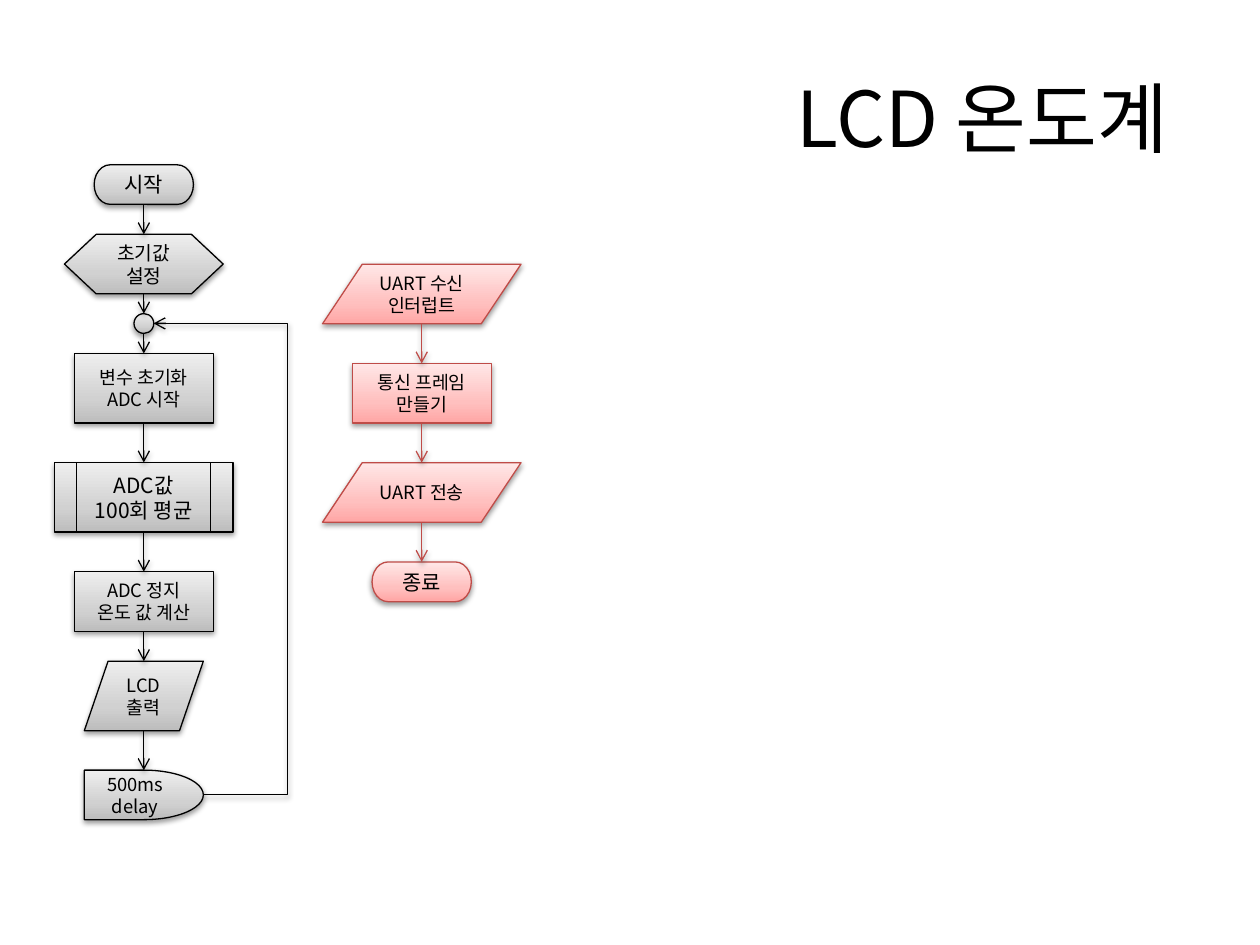
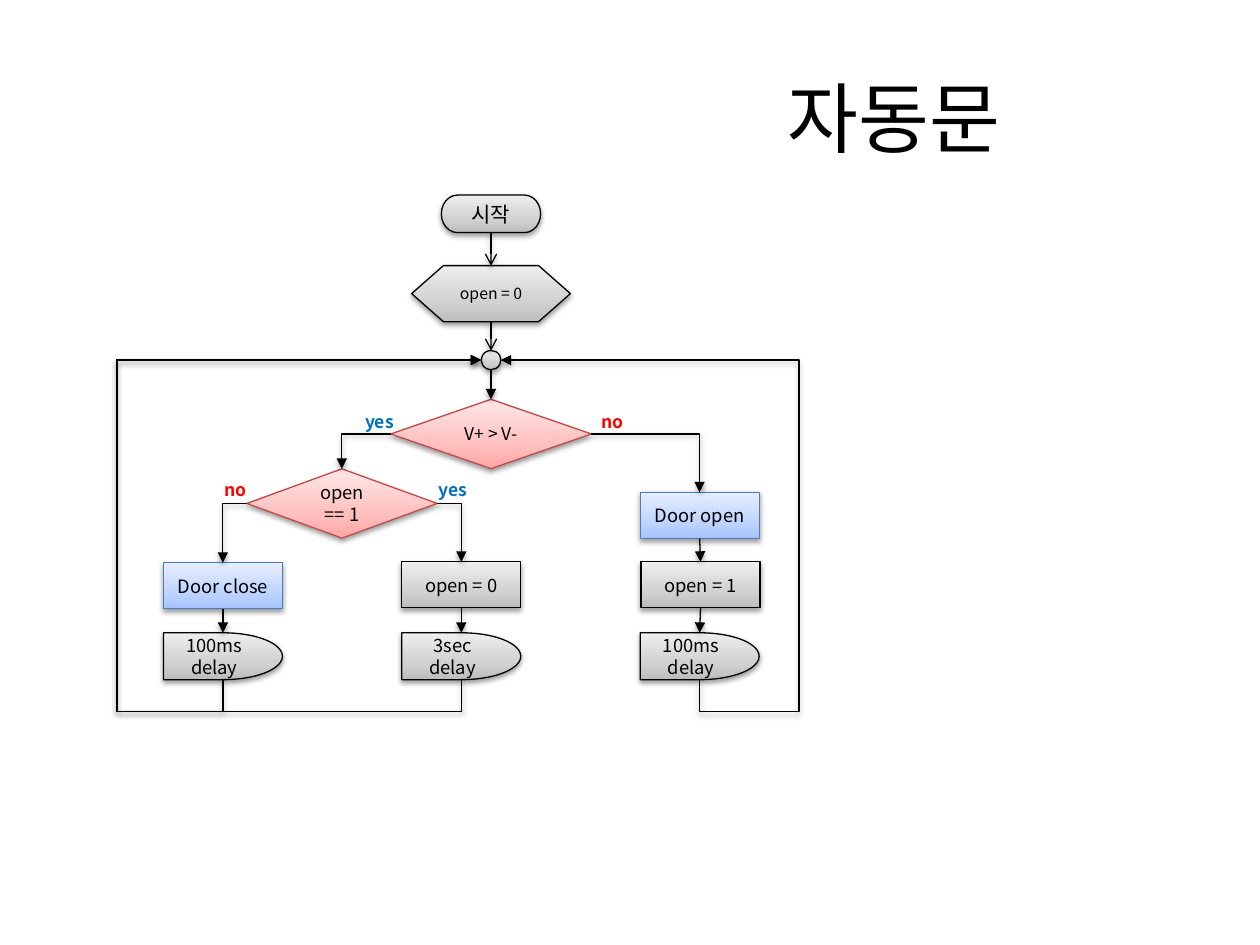
from copy import deepcopy
from dataclasses import dataclass

from lxml import etree
from pptx import Presentation
from pptx.dml.color import RGBColor
from pptx.enum import shapes, text
from pptx.oxml.ns import qn
from pptx.util import Pt

KIND = shapes.MSO_SHAPE
TERMINATOR = KIND.FLOWCHART_TERMINATOR
PREPARATION = KIND.FLOWCHART_PREPARATION
PROCESS = KIND.FLOWCHART_PROCESS
SUBROUTINE = KIND.FLOWCHART_PREDEFINED_PROCESS
DATA = KIND.FLOWCHART_DATA
DELAY = KIND.FLOWCHART_DELAY
DECISION = KIND.FLOWCHART_DECISION
JOIN = KIND.FLOWCHART_CONNECTOR


@dataclass(frozen=True)
class Palette:
    stops: tuple
    line: str


@dataclass(frozen=True)
class Theme:
    font: str = "Noto Sans CJK KR"
    ink: str = "000000"
    yes: str = "0070C0"
    no: str = "FF0000"
    gray: Palette = Palette(("BDBDBD", "D1D1D1", "EEEEEE"), "000000")
    red: Palette = Palette(("FFA6A5", "FFC0BF", "FFE7E7"), "BF4C48")
    blue: Palette = Palette(("A4C4FF", "BFD4FF", "E6EEFF"), "4B7EBC")
    stop_positions: tuple = (0, 0.35, 1)
    line_width: float = 0.75
    title: float = 44
    terminal: float = 12
    setup: float = 11
    step: float = 10.5
    label: float = 10
    small: float = 9


THEME = Theme()
SITES = {"top": 0, "left": 1, "bottom": 2, "right": 3}
SPECIAL_SITES = {
    JOIN: {"top": 0, "left": 2, "bottom": 4, "right": 6},
    DATA: {"top": 1, "bottom": 4},
}


def apply(target, formats):
    for name, value in formats.items():
        setattr(target, name, value)


def write(frame, words, size, color=THEME.ink, bold=False,
          align=text.PP_ALIGN.CENTER, anchor=text.MSO_ANCHOR.MIDDLE):
    frame.text = words
    apply(frame, {"word_wrap": True, "vertical_anchor": anchor})
    for paragraph in frame.paragraphs:
        paragraph.alignment = align
        for run in paragraph.runs:
            apply(run.font, {"size": Pt(size), "bold": bold, "name": THEME.font})
            run.font.color.rgb = RGBColor.from_string(color)
            etree.SubElement(run.font._element, qn("a:ea"), typeface=THEME.font)


def text_box(slide, left, top, width, height, words, size, **style):
    box = slide.shapes.add_textbox(Pt(left), Pt(top), Pt(width), Pt(height))
    write(box.text_frame, words, size, **style)


def title(slide, left, width, words):
    text_box(slide, left, 21.6, width, 90, words, THEME.title)


def branch_label(slide, left, top, answer):
    text_box(slide, left, top, 45.4, 19.4, answer, THEME.label,
             color=getattr(THEME, answer), bold=True,
             align=text.PP_ALIGN.LEFT, anchor=text.MSO_ANCHOR.TOP)


def outline(line, color):
    line.color.rgb = RGBColor.from_string(color)
    line.width = Pt(THEME.line_width)


def add_shadow(properties):
    effects = properties.find(qn("a:effectLst"))
    if effects is None:
        effects = etree.SubElement(properties, qn("a:effectLst"))
    shadow = etree.SubElement(
        effects, qn("a:outerShdw"), blurRad=str(Pt(3.1)), dist=str(Pt(1.6)),
        dir="5400000", rotWithShape="0")
    tint = etree.SubElement(shadow, qn("a:srgbClr"), val=THEME.ink)
    etree.SubElement(tint, qn("a:alpha"), val="38000")


def node(slide, kind, center, top, width, height, words="",
         size=THEME.step, palette=THEME.gray):
    step = slide.shapes.add_shape(
        kind, Pt(center - width / 2), Pt(top), Pt(width), Pt(height))
    step.shadow.inherit = False
    step.fill.gradient()
    step.fill.gradient_angle = 90
    stop_list = step._element.spPr.find(".//" + qn("a:gsLst"))
    stop_list.insert(1, deepcopy(stop_list[0]))
    for stop, position, color in zip(
            step.fill.gradient_stops, THEME.stop_positions, palette.stops):
        stop.position = position
        stop.color.rgb = RGBColor.from_string(color)
    outline(step.line, palette.line)
    add_shadow(step._element.spPr)
    if words:
        write(step.text_frame, words, size)
    return step


def site(step, side):
    across = {"left": 0, "right": 1}.get(side, 0.5)
    down = {"top": 0, "bottom": 1}.get(side, 0.5)
    return (int(step.left + step.width * across),
            int(step.top + step.height * down))


def link(slide, source, target, sides=("bottom", "top"), head="triangle",
         color=THEME.ink, preset="line", bends=()):
    start, end = site(source, sides[0]), site(target, sides[1])
    arrow = slide.shapes.add_connector(
        shapes.MSO_CONNECTOR.STRAIGHT, *start, *end)
    outline(arrow.line, color)
    etree.SubElement(arrow.line._get_or_add_ln(), qn("a:tailEnd"), type=head)
    properties = arrow._element.spPr
    add_shadow(properties)
    ends = arrow._element.find(".//" + qn("p:cNvCxnSpPr"))
    for tag, step, side in zip(("a:stCxn", "a:endCxn"), (source, target), sides):
        places = SPECIAL_SITES.get(step.auto_shape_type, SITES)
        etree.SubElement(ends, qn(tag), id=str(step.shape_id),
                         idx=str(places[side]))
    geometry = properties.find(qn("a:prstGeom"))
    geometry.set("prst", preset)
    for number, bend in enumerate(bends, 1):
        etree.SubElement(geometry.find(qn("a:avLst")), qn("a:gd"),
                         name=f"adj{number}", fmla=f"val {round(bend * 100000)}")
    return arrow


def lane_share(source, target, sides, lane):
    start, end = site(source, sides[0])[0], site(target, sides[1])[0]
    return (Pt(lane) - start) / (end - start)


def side_loop(slide, source, target, lane):
    sides = ("right", "right")
    link(slide, source, target, sides, head="arrow", preset="bentConnector3",
         bends=[lane_share(source, target, sides, lane)])


def under_loop(slide, source, target, entry, lane, drop=18.1):
    sides = ("bottom", entry)
    (x0, y0), (x1, y1) = site(source, sides[0]), site(target, entry)
    rise, run = y0 - y1, abs(x1 - x0)
    loop = link(slide, source, target, sides, preset="bentConnector4",
                bends=[-Pt(drop) / rise, lane_share(source, target, sides, lane)])
    apply(loop, {"left": (x0 + x1 - rise) // 2, "top": (y0 + y1 - run) // 2,
                 "width": rise, "height": run})
    turn = {"rot": "5400000", "flipH": "1", "flipV": "1" if x1 > x0 else "0"}
    frame = loop._element.spPr.find(qn("a:xfrm"))
    for name, value in turn.items():
        frame.set(name, value)


def chain(slide, steps, **style):
    for source, target in zip(steps, steps[1:]):
        link(slide, source, target, **style)


def thermometer(slide):
    title(slide, 439.2, 244.8, "LCD 온도계")
    main_axis, uart_axis = 82.2, 241
    main_steps = [
        node(slide, kind, main_axis, *place)
        for kind, *place in (
            (TERMINATOR, 94.2, 56.7, 22.6, "시작", THEME.terminal),
            (PREPARATION, 133.9, 90.7, 34, "초기값\n설정", THEME.setup),
            (JOIN, 179.2, 11.3, 11.3),
            (PROCESS, 202, 79.4, 39.7, "변수 초기화\nADC 시작"),
            (SUBROUTINE, 264.3, 102, 39.7, "ADC값\n100회 평균", THEME.terminal),
            (PROCESS, 326.7, 79.4, 34, "ADC 정지\n온도 값 계산"),
            (DATA, 377.8, 68, 39.7, "LCD\n출력"),
            (DELAY, 440.1, 68, 28.3, "500ms\ndelay"),
        )
    ]
    chain(slide, main_steps, head="arrow")
    side_loop(slide, main_steps[-1], main_steps[2], 164.3)

    uart_steps = [
        node(slide, kind, uart_axis, 151 + 56.7 * row, width, height, words,
             size, THEME.red)
        for row, (kind, width, height, words, size) in enumerate((
            (DATA, 113.4, 34, "UART 수신\n인터럽트", THEME.step),
            (PROCESS, 79.4, 34, "통신 프레임\n만들기", THEME.step),
            (DATA, 113.4, 34, "UART 전송", THEME.step),
            (TERMINATOR, 56.7, 22.7, "종료", THEME.terminal),
        ))
    ]
    chain(slide, uart_steps, head="arrow", color=THEME.red.line)


def automatic_door(slide):
    title(slide, 337.7, 346.3, "자동문")
    axis, close_axis, wait_axis, open_axis = 280.6, 127.4, 263.6, 399.8
    set_top, delay_top, width, height = 321, 361.6, 68, 26.3
    start = node(slide, TERMINATOR, axis, 111.5, 56.7, 21.4, "시작", THEME.terminal)
    setup = node(slide, PREPARATION, axis, 151.8, 90.7, 32, "open = 0", THEME.small)
    join = node(slide, JOIN, axis, 200.3, 11.3, 10.9)
    compare = node(slide, DECISION, axis, 228.2, 114.6, 39.6, "V+ > V-",
                   THEME.label, THEME.red)
    is_open = node(slide, DECISION, 195.4, 267.9, 108.7, 39.6, "open\n== 1",
                   palette=THEME.red)
    door_close = node(slide, PROCESS, close_axis, 321.6, width, height,
                      "Door close", palette=THEME.blue)
    door_open = node(slide, PROCESS, open_axis, 281.3, width, height,
                     "Door open", palette=THEME.blue)
    clear_flag = node(slide, PROCESS, wait_axis, set_top, width, height, "open = 0")
    set_flag = node(slide, PROCESS, open_axis + 0.5, set_top, width, height,
                    "open = 1")
    close_delay, wait_delay, open_delay = (
        node(slide, DELAY, column, delay_top, width, 26.8, f"{duration}\ndelay")
        for column, duration in ((close_axis, "100ms"), (wait_axis, "3sec"),
                                 (open_axis, "100ms"))
    )

    chain(slide, [start, setup, join], head="arrow")
    for steps in ([join, compare], [door_close, close_delay],
                  [clear_flag, wait_delay], [door_open, set_flag, open_delay]):
        chain(slide, steps)
    for source, side, target in ((compare, "left", is_open),
                                 (compare, "right", door_open),
                                 (is_open, "left", door_close),
                                 (is_open, "right", clear_flag)):
        link(slide, source, target, (side, "top"), preset="bentConnector2")
    for source, entry, lane in ((open_delay, "right", 456.6),
                                (wait_delay, "left", 66.6),
                                (close_delay, "left", 66.6)):
        under_loop(slide, source, join, entry, lane)

    for left, top, answer in ((201.6, 231.2, "yes"), (243.7, 270, "yes"),
                              (121.2, 270, "no"), (336.7, 231.2, "no")):
        branch_label(slide, left, top, answer)


def main():
    deck = Presentation()
    apply(deck, {"slide_width": Pt(720), "slide_height": Pt(540)})
    for draw in (thermometer, automatic_door):
        draw(deck.slides.add_slide(deck.slide_layouts[6]))
    deck.save("out.pptx")


if __name__ == "__main__":
    main()
